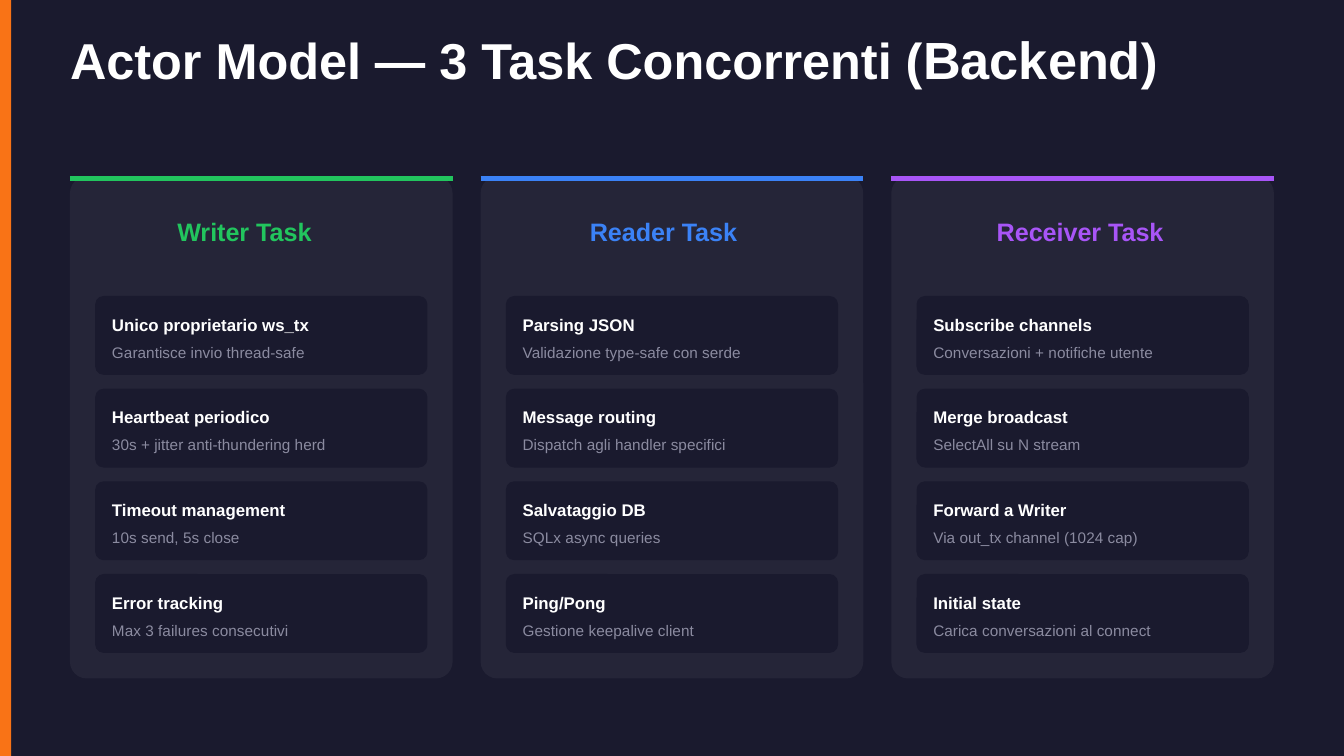
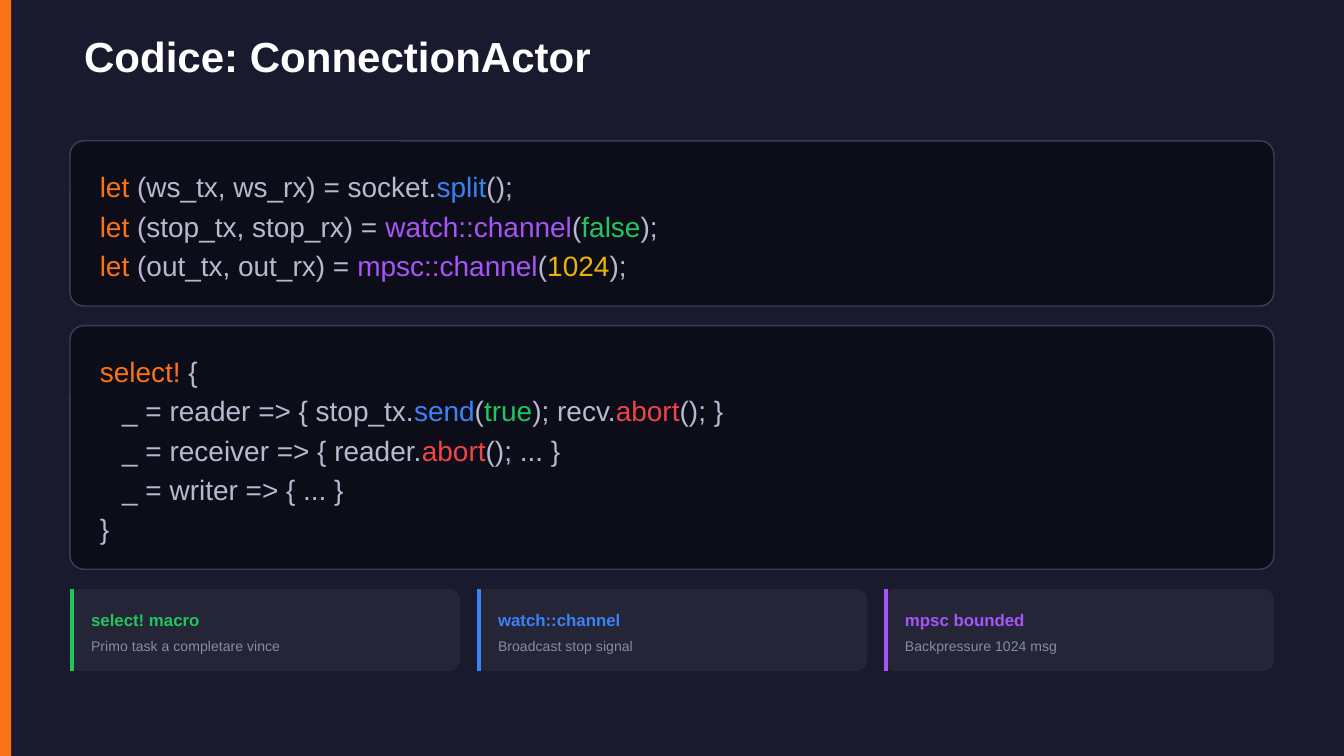
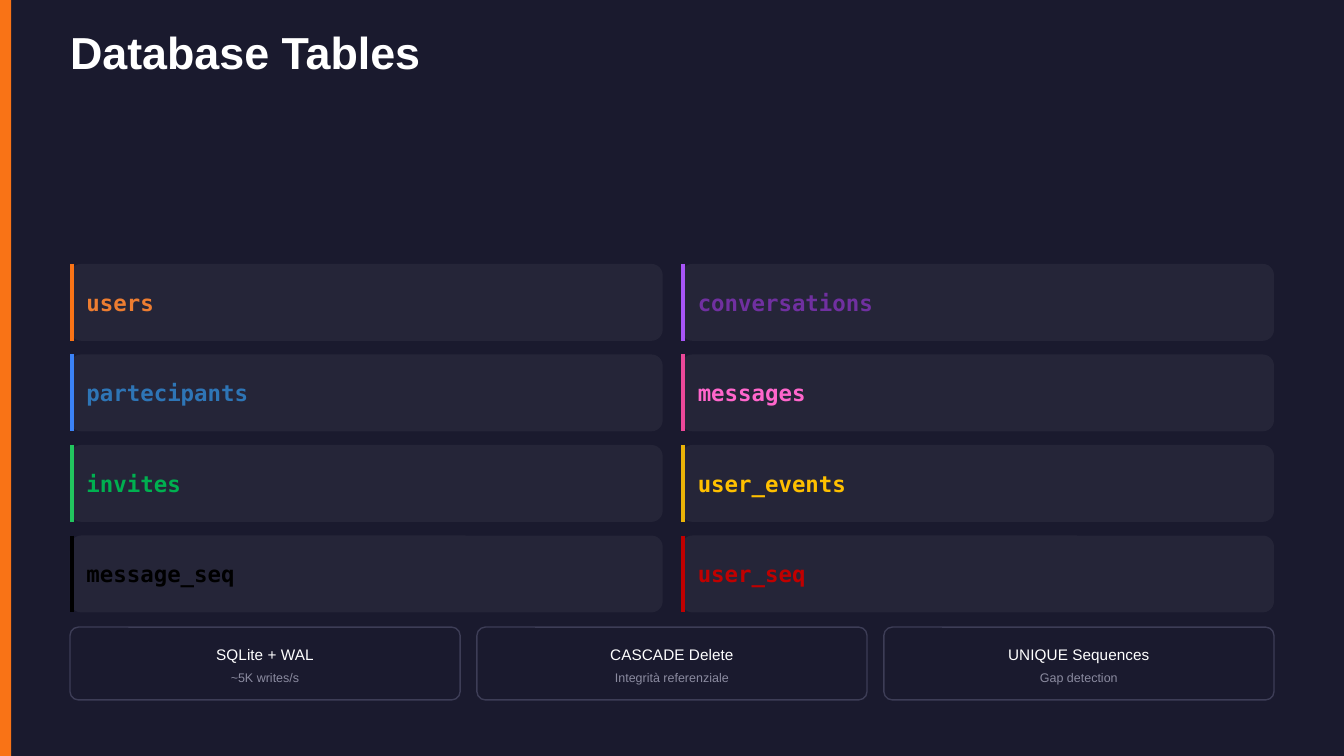
from collections import namedtuple

from lxml import etree
from pptx import Presentation
from pptx import util as u
from pptx.dml.color import RGBColor
from pptx.enum import shapes, text
from pptx.oxml import ns

Box = namedtuple("Box", "left top width height")

NAVY = RGBColor(0x1A, 0x1A, 0x2E)
CARD = RGBColor(0x25, 0x25, 0x38)
CODE_FILL = RGBColor(0x0D, 0x0D, 0x1A)
BORDER = RGBColor(0x3D, 0x3D, 0x56)
WHITE = RGBColor(0xFF, 0xFF, 0xFF)
BLACK = RGBColor(0x00, 0x00, 0x00)
GRAY = RGBColor(0x8B, 0x8B, 0xA0)
CODE_TEXT = RGBColor(0xB8, 0xB8, 0xD0)
ORANGE = RGBColor(0xF9, 0x73, 0x16)
GREEN = RGBColor(0x22, 0xC5, 0x5E)
BLUE = RGBColor(0x3B, 0x82, 0xF6)
PURPLE = RGBColor(0xA8, 0x55, 0xF7)
YELLOW = RGBColor(0xEA, 0xB3, 0x08)
RED = RGBColor(0xEF, 0x44, 0x44)
PINK = RGBColor(0xEC, 0x48, 0x99)
DARK_RED = RGBColor(0xC0, 0x00, 0x00)
USERS_TEXT = RGBColor(0xED, 0x7D, 0x31)
PARTECIPANTS_TEXT = RGBColor(0x2E, 0x75, 0xB6)
INVITES_TEXT = RGBColor(0x00, 0xB0, 0x50)
CONVERSATIONS_TEXT = RGBColor(0x70, 0x30, 0xA0)
MESSAGES_TEXT = RGBColor(0xFF, 0x66, 0xCC)
EVENTS_TEXT = RGBColor(0xFF, 0xC0, 0x00)

SANS = "Arial"
MONO = "DejaVu Sans Mono"
LEFT = 37.5
CONTENT_WIDTH = 645
LEADING = 1.4
NO_INSETS = dict(margin_left=0, margin_top=0, margin_right=0, margin_bottom=0)

TASKS = [
    ("Writer Task", GREEN, 57.5, 73.5, [
        ("Unico proprietario ws_tx", "Garantisce invio thread-safe"),
        ("Heartbeat periodico", "30s + jitter anti-thundering herd"),
        ("Timeout management", "10s send, 5s close"),
        ("Error tracking", "Max 3 failures consecutivi"),
    ]),
    ("Reader Task", BLUE, 58.5, 80.5, [
        ("Parsing JSON", "Validazione type-safe con serde"),
        ("Message routing", "Dispatch agli handler specifici"),
        ("Salvataggio DB", "SQLx async queries"),
        ("Ping/Pong", "Gestione keepalive client"),
    ]),
    ("Receiver Task", PURPLE, 56.5, 91.5, [
        ("Subscribe channels", "Conversazioni + notifiche utente"),
        ("Merge broadcast", "SelectAll su N stream"),
        ("Forward a Writer", "Via out_tx channel (1024 cap)"),
        ("Initial state", "Carica conversazioni al connect"),
    ]),
]

SETUP_CODE = [
    (0, [("let", ORANGE), (" (ws_tx, ws_rx) = socket.", CODE_TEXT),
         ("split", BLUE), ("();", CODE_TEXT)]),
    (0, [("let", ORANGE), (" (stop_tx, stop_rx) = ", CODE_TEXT),
         ("watch::channel", PURPLE), ("(", CODE_TEXT),
         ("false", GREEN), (");", CODE_TEXT)]),
    (0, [("let", ORANGE), (" (out_tx, out_rx) = ", CODE_TEXT),
         ("mpsc::channel", PURPLE), ("(", CODE_TEXT),
         ("1024", YELLOW), (");", CODE_TEXT)]),
]
SELECT_CODE = [
    (0, [("select!", ORANGE), (" {", CODE_TEXT)]),
    (12, [("_ = reader => { stop_tx.", CODE_TEXT), ("send", BLUE),
          ("(", CODE_TEXT), ("true", GREEN), ("); recv.", CODE_TEXT),
          ("abort", RED), ("(); }", CODE_TEXT)]),
    (12, [("_ = receiver => { reader.", CODE_TEXT), ("abort", RED),
          ("(); ... }", CODE_TEXT)]),
    (12, [("_ = writer => { ... }", CODE_TEXT)]),
    (0, [("}", CODE_TEXT)]),
]
NOTES = [
    ("select! macro", "Primo task a completare vince", GREEN),
    ("watch::channel", "Broadcast stop signal", BLUE),
    ("mpsc bounded", "Backpressure 1024 msg", PURPLE),
]

TABLES = [
    ("users", USERS_TEXT, ORANGE),
    ("conversations", CONVERSATIONS_TEXT, PURPLE),
    ("partecipants", PARTECIPANTS_TEXT, BLUE),
    ("messages", MESSAGES_TEXT, PINK),
    ("invites", INVITES_TEXT, GREEN),
    ("user_events", EVENTS_TEXT, YELLOW),
    ("message_seq", BLACK, BLACK),
    ("user_seq", DARK_RED, DARK_RED),
]
FACTS = [
    ("SQLite + WAL", "~5K writes/s"),
    ("CASCADE Delete", "Integrità referenziale"),
    ("UNIQUE Sequences", "Gap detection"),
]


def apply_format(target, values):
    for name, value in values.items():
        setattr(target, name, value)


def points(box):
    return [u.Pt(value) for value in box]


def inside(box, left, top, width, height):
    return Box(box.left + left, box.top + top, width, height)


def add_run(paragraph, content, size, color, bold=False, name=SANS):
    run = paragraph.add_run()
    run.text = content
    apply_format(run.font, dict(name=name, size=u.Pt(size), bold=bold))
    run.font.color.rgb = color


def add_text(slide, box, runs, size, bold=False, leading=LEADING, indent=0,
             align=text.PP_ALIGN.LEFT):
    frame = slide.shapes.add_textbox(*points(box)).text_frame
    apply_format(frame, dict(NO_INSETS, margin_left=u.Pt(indent), word_wrap=True))
    paragraph = frame.paragraphs[0]
    apply_format(paragraph, dict(alignment=align, line_spacing=u.Pt(size * leading)))
    for content, color in runs:
        add_run(paragraph, content, size, color, bold)


def add_panel(slide, box, fill, radius=0, border=None):
    kind = shapes.MSO_SHAPE.ROUNDED_RECTANGLE if radius else shapes.MSO_SHAPE.RECTANGLE
    shape = slide.shapes.add_shape(kind, *points(box))
    shape.shadow.inherit = False
    if radius:
        shape.adjustments[0] = radius / min(box.width, box.height)
    shape.fill.solid()
    shape.fill.fore_color.rgb = fill
    if border:
        shape.line.color.rgb = border
        shape.line.width = u.Pt(0.75)
    else:
        shape.line.fill.background()
    return shape


def add_line(slide, start, end, color, width):
    line = slide.shapes.add_connector(
        shapes.MSO_CONNECTOR.STRAIGHT, *points(start + end))
    line.line.color.rgb = color
    line.line.width = u.Pt(width)
    etree.SubElement(line._element.spPr, ns.qn("a:effectLst"))


def add_side_accent(slide, box, color):
    x = box.left + 1.1
    add_line(slide, (x, box.top), (x, box.top + box.height), color, 2.25)


def add_slide(presentation, box, runs, line_height):
    slide = presentation.slides.add_slide(presentation.slide_layouts[5])
    add_panel(slide, Box(0, 0, 6, 405), ORANGE)
    title = slide.shapes.title
    apply_format(title, dict(zip(("left", "top", "width", "height"), points(box))))
    apply_format(title.text_frame, dict(
        NO_INSETS, word_wrap=True, auto_size=text.MSO_AUTO_SIZE.NONE,
        vertical_anchor=text.MSO_ANCHOR.TOP))
    paragraph = title.text_frame.paragraphs[0]
    apply_format(paragraph, dict(
        alignment=text.PP_ALIGN.LEFT, line_spacing=u.Pt(line_height)))
    for content, size in runs:
        add_run(paragraph, content, size, WHITE, True)
    return slide


def add_task_column(slide, box, heading, color, heading_left, heading_width, items):
    add_panel(slide, box, CARD, 9)
    y = box.top + 1.2
    add_line(slide, (box.left, y), (box.left + box.width, y), color, 3)
    add_text(slide, inside(box, heading_left, 21.5, heading_width, 16),
             [(heading, color)], 13.5, True, 1.2)
    for row, (name, detail) in enumerate(items):
        item = inside(box, 13.5, 64.1 + 49.65 * row, 178, 42.25)
        add_panel(slide, item, NAVY, 4.5)
        add_text(slide, inside(item, 9, 8, 163.5, 12.5), [(name, WHITE)], 9, True)
        add_text(slide, inside(item, 9, 23.4, 163.5, 11.5), [(detail, GRAY)], 8.25)


def add_code_panel(slide, box, lines):
    add_panel(slide, box, CODE_FILL, 7.5, BORDER)
    for row, (indent, runs) in enumerate(lines):
        add_text(slide, inside(box, 16, 12.5 + 21 * row, 625.5, 21),
                 runs, 15, indent=indent)


def add_note(slide, box, name, detail, color):
    add_panel(slide, box, CARD, 6)
    add_side_accent(slide, box, color)
    add_text(slide, inside(box, 11.3, 9.2, 192, 12.5), [(name, color)], 9, True)
    add_text(slide, inside(box, 11.3, 24.5, 192, 10.5), [(detail, GRAY)], 7.5)


def add_table_card(slide, box, name, color, accent):
    shape = add_panel(slide, box, CARD, 6)
    shape.text_frame.vertical_anchor = text.MSO_ANCHOR.MIDDLE
    paragraph = shape.text_frame.paragraphs[0]
    paragraph.alignment = text.PP_ALIGN.LEFT
    add_run(paragraph, name, 12, color, True, MONO)
    add_side_accent(slide, box, accent)


def add_fact(slide, box, name, detail):
    add_panel(slide, box, NAVY, 4.5, BORDER)
    center = text.PP_ALIGN.CENTER
    add_text(slide, inside(box, 6.3, 8.2, 196.5, 11.5), [(name, WHITE)], 8.25, align=center)
    add_text(slide, inside(box, 6.3, 21.3, 196.5, 9.5), [(detail, GRAY)], 6.75, align=center)


def add_footer_row(slide, top, height, add_entry, entries):
    for column, entry in enumerate(entries):
        add_entry(slide, Box(LEFT + 218 * column, top, 209, height), *entry)


def build_actor_slide(presentation):
    slide = add_slide(presentation, Box(LEFT, 21, 657.5, 25), [
        ("Actor Model — 3 Task Concorrenti (", 27), ("Backend", 28), (")", 27)], 27)
    for column, task in enumerate(TASKS):
        add_task_column(slide, Box(LEFT + 220 * column, 94.5, 205, 269), *task)


def build_code_slide(presentation):
    slide = add_slide(presentation, Box(45, 21, 330, 22.5),
                      [("Codice: ConnectionActor", 22.5)], 22.5)
    add_code_panel(slide, Box(LEFT, 75.5, CONTENT_WIDTH, 88.5), SETUP_CODE)
    add_code_panel(slide, Box(LEFT, 174.5, CONTENT_WIDTH, 130.5), SELECT_CODE)
    add_footer_row(slide, 315.5, 44, add_note, NOTES)


def build_tables_slide(presentation):
    slide = add_slide(presentation, Box(LEFT, 18, 337.5, 24),
                      [("Database Tables", 24)], 24)
    for index, entry in enumerate(TABLES):
        row, column = divmod(index, 2)
        box = Box(LEFT + 327.5 * column, 141.4 + 48.5 * row, 317.5, 41.2)
        add_table_card(slide, box, *entry)
    add_footer_row(slide, 336, 39, add_fact, FACTS)


def main():
    presentation = Presentation()
    presentation.slide_width = u.Pt(720)
    presentation.slide_height = u.Pt(405)
    background = presentation.slide_master.background.fill
    background.solid()
    background.fore_color.rgb = NAVY
    build_actor_slide(presentation)
    build_code_slide(presentation)
    build_tables_slide(presentation)
    presentation.save("out.pptx")


if __name__ == "__main__":
    main()
